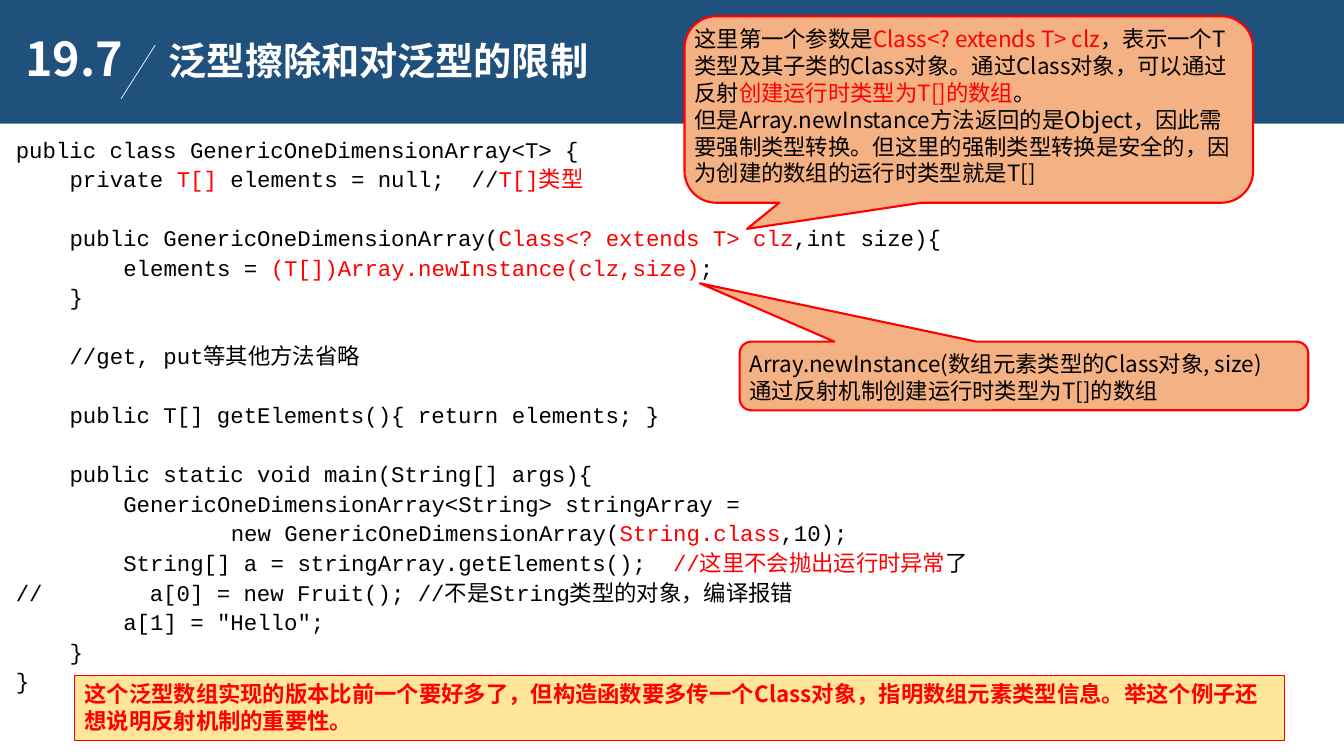
from lxml import etree
from pptx import Presentation
from pptx.dml.color import RGBColor
from pptx.enum.shapes import MSO_CONNECTOR, MSO_SHAPE
from pptx.enum.text import MSO_ANCHOR, PP_ALIGN
from pptx.oxml.ns import qn
from pptx.util import Cm, Pt

RECTANGLE = MSO_SHAPE.RECTANGLE
CALLOUT = MSO_SHAPE.ROUNDED_RECTANGULAR_CALLOUT
STRAIGHT = MSO_CONNECTOR.STRAIGHT
TOP, MIDDLE = MSO_ANCHOR.TOP, MSO_ANCHOR.MIDDLE
LEFT = PP_ALIGN.LEFT

NAVY = RGBColor(0x20, 0x51, 0x7C)
WHITE = RGBColor(0xFF, 0xFF, 0xFF)
BLACK = RGBColor(0, 0, 0)
RED = RGBColor(0xFF, 0, 0)
ORANGE = RGBColor(0xF4, 0xB1, 0x83)
YELLOW = RGBColor(0xFF, 0xE6, 0x99)

MONO, SANS, NOTE_SANS = "Courier New", "Noto Sans CJK SC", "Noto Sans CJK JP"
TEXT_SIZE = Pt(16)
CODE_LINE = Pt(21.1)
NOTE_LINE = Pt(19.2)
INDENT = 4 * Pt(9.6)

CODE = [
    (0, 0, "public class GenericOneDimensionArray<T> {"),
    (1, 0, "private |T[] |elements = null;  //|T[]类型"),
    (1, 1, "public GenericOneDimensionArray(|Class<? extends T> clz|,int size){"),
    (2, 0, "elements = |(T[])Array.newInstance(clz,size)|;"),
    (1, 0, "}"),
    (1, 1, "//get, put等其他方法省略"),
    (1, 1, "public T[] getElements(){ return elements; }"),
    (1, 1, "public static void main(String[] args){"),
    (2, 0, "GenericOneDimensionArray<String> stringArray ="),
    (4, 0, "new GenericOneDimensionArray(|String.class|,10);"),
    (2, 0, "String[] a = stringArray.getElements();  |//这里不会抛出运行时异常|了"),
    (0, 0, "//        a[0] = new Fruit(); //不是String类型的对象，编译报错"),
    (2, 0, 'a[1] = "Hello";'),
    (1, 0, "}"),
    (0, 0, "}"),
]
PARAMETER_NOTE = [
    "这里第一个参数是|Class<? extends T> clz|，表示一个T类型及其子类的Class对象。"
    "通过Class对象，可以通过反射|创建运行时类型为T[]的数组|。",
    "但是Array.newInstance方法返回的是Object，因此需要强制类型转换。"
    "但这里的强制类型转换是安全的，因为创建的数组的运行时类型就是T[]",
]
INSTANCE_NOTE = [
    "Array.newInstance(数组元素类型的Class对象, size)",
    "通过反射机制创建运行时类型为T[]的数组",
]
SUMMARY = ("这个泛型数组实现的版本比前一个要好多了，但构造函数要多传一个Class对象，"
           "指明数组元素类型信息。举这个例子还想说明反射机制的重要性。")


def write(paragraph, text, font, size=TEXT_SIZE, color=BLACK, bold=False):
    paragraph.font.name, paragraph.font.size = font, size
    paragraph.font.bold = bold
    parts = text.split("|")
    if len(parts) == 1:
        paragraph.font.color.rgb = color
    for index, part in enumerate(parts):
        run = paragraph.add_run()
        run.text = part
        run.font.name, run.font.size, run.font.bold = font, size, bold
        run.font.color.rgb = RED if index % 2 else color
        east_asian = SANS if font == MONO else font
        etree.SubElement(run.font._element, qn("a:ea"), typeface=east_asian)


def paragraphs(frame, texts):
    for index, text in enumerate(texts):
        yield (frame.add_paragraph() if index else frame.paragraphs[0]), text


def fill_heading(placeholder, place, text, size, spacing):
    placeholder.left, placeholder.top, placeholder.width, placeholder.height = place
    frame = placeholder.text_frame
    frame.vertical_anchor = MIDDLE
    frame.word_wrap = True
    frame.margin_right = 0
    paragraph = frame.paragraphs[0]
    paragraph.alignment, paragraph.line_spacing = LEFT, spacing
    write(paragraph, text, SANS, size, WHITE, True)


def add_box(slide, kind, place, fill, line=None, width=None):
    box = slide.shapes.add_shape(kind, *place)
    box.shadow.inherit = False
    box.fill.solid()
    box.fill.fore_color.rgb = fill
    if line is None:
        box.line.fill.background()
    else:
        box.line.color.rgb, box.line.width = line, width
    return box


def add_slash(slide, start, end):
    slash = slide.shapes.add_connector(STRAIGHT, *start, *end)
    slash.line.color.rgb, slash.line.width = WHITE, Pt(0.5)
    etree.SubElement(slash._element.spPr, qn("a:effectLst"))


def add_text_frame(slide, place):
    frame = slide.shapes.add_textbox(*place).text_frame
    frame.word_wrap = True
    return frame


def add_code(slide, place):
    frame = add_text_frame(slide, place)
    for paragraph, (level, blanks, text) in paragraphs(frame, CODE):
        paragraph.line_spacing = CODE_LINE
        paragraph.space_before = blanks * CODE_LINE
        write(paragraph, text, MONO)
        properties = paragraph._p.get_or_add_pPr()
        properties.set("marL", str(level * INDENT))
        properties.set("indent", "0")


def add_note(slide, left, top, height, tail, texts):
    bubble = add_box(slide, CALLOUT, (left, top, Cm(14.33), height), ORANGE, RED, Pt(1.5))
    for index, value in enumerate(tail):
        bubble.adjustments[index] = value
    frame = add_text_frame(slide, (left, top + Cm(0.1), Cm(14.12), height - Cm(0.1)))
    for paragraph, text in paragraphs(frame, texts):
        paragraph.line_spacing = NOTE_LINE
        write(paragraph, text, NOTE_SANS)


def add_summary(slide, place):
    banner = add_box(slide, RECTANGLE, place, YELLOW, RED, Pt(0.75))
    frame = banner.text_frame
    frame.word_wrap, frame.vertical_anchor = True, TOP
    paragraph = frame.paragraphs[0]
    paragraph.alignment, paragraph.line_spacing = LEFT, NOTE_LINE
    write(paragraph, SUMMARY, SANS, color=RED, bold=True)


def main():
    deck = Presentation()
    deck.slide_width, deck.slide_height = Cm(33.87), Cm(19.05)
    slide = deck.slides.add_slide(deck.slide_layouts[2])
    title, number = slide.placeholders

    band = add_box(slide, RECTANGLE, (Cm(-0.08), 0, Cm(33.95), Cm(3.12)), NAVY)
    title._element.addprevious(band._element)
    add_slash(slide, (Cm(3.91), Cm(1.14)), (Cm(3.05), Cm(2.49)))
    fill_heading(title, (Cm(4), Cm(0.9), Cm(20.55), Cm(1.37)),
                 "泛型擦除和对泛型的限制", Pt(27.3), 0.9)
    fill_heading(number, (Cm(0.38), Cm(0.9), Cm(2.97), Cm(1.37)),
                 "19.7", Pt(33.3), 0.8)

    add_code(slide, (Cm(0.15), Cm(3.23), Cm(32.79), Cm(14.53)))
    add_note(slide, Cm(17.25), Cm(0.41), Cm(4.7), (-0.39, 0.64, 0.17), PARAMETER_NOTE)
    add_summary(slide, (Cm(1.88), Cm(17.02), Cm(30.5), Cm(1.63)))
    add_note(slide, Cm(18.64), Cm(8.61), Cm(1.73), (-0.57, -1.35, 0.17), INSTANCE_NOTE)
    deck.save("out.pptx")


if __name__ == "__main__":
    main()
